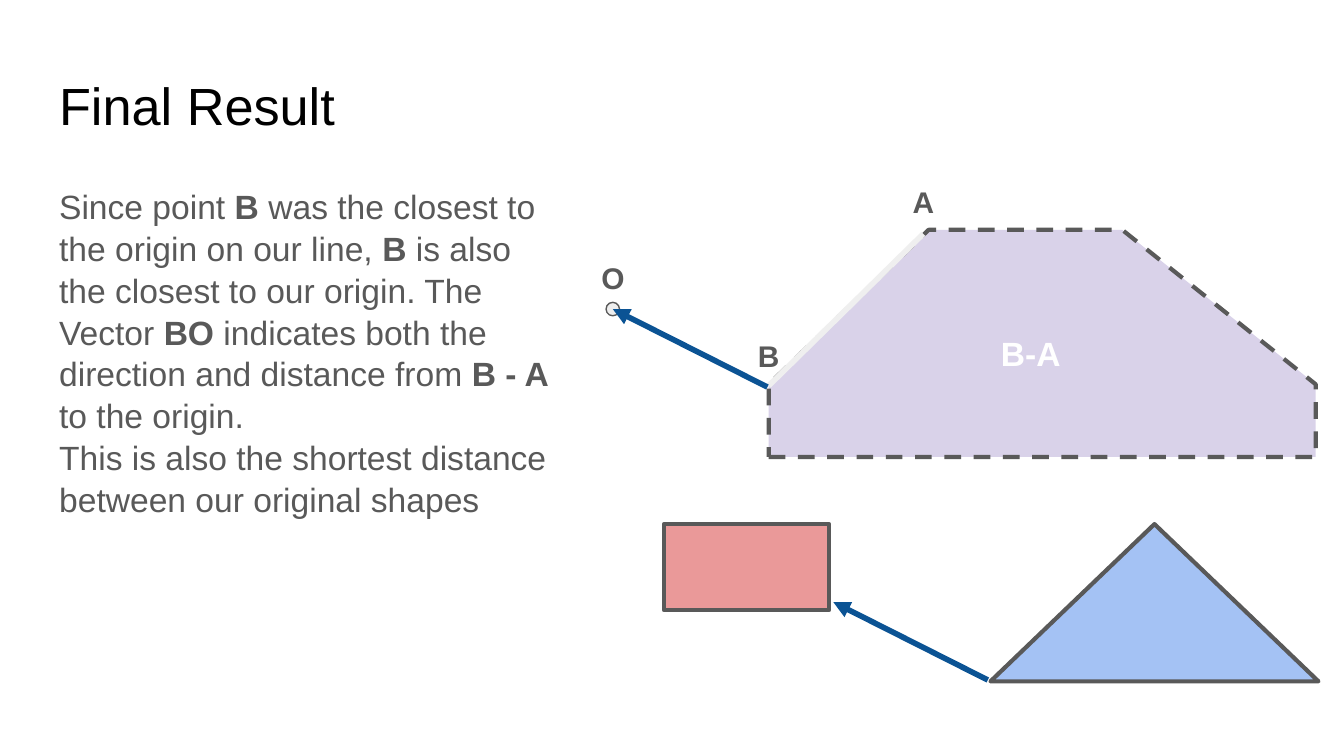
from lxml import etree
from pptx import Presentation
from pptx.dml.color import RGBColor
from pptx.enum.dml import MSO_LINE
from pptx.enum.shapes import MSO_CONNECTOR, MSO_SHAPE
from pptx.enum.text import MSO_ANCHOR, MSO_AUTO_SIZE, PP_ALIGN
from pptx.oxml.ns import qn
from pptx.util import Inches, Pt

RECTANGLE = MSO_SHAPE.RECTANGLE
TRIANGLE = MSO_SHAPE.ISOSCELES_TRIANGLE
OVAL = MSO_SHAPE.OVAL
STRAIGHT = MSO_CONNECTOR.STRAIGHT
DASH = MSO_LINE.DASH
LEFT, CENTER = PP_ALIGN.LEFT, PP_ALIGN.CENTER
TOP, MIDDLE = MSO_ANCHOR.TOP, MSO_ANCHOR.MIDDLE
NO_AUTO_SIZE = MSO_AUTO_SIZE.NONE

CELL = 0.1
COLUMNS, ROWS = 100, 56.25
FONT = "Arial"
BLACK, WHITE, GRAY = "000000", "FFFFFF", "595959"
LAVENDER, RED, BLUE = "D9D2E9", "EA9999", "A4C2F4"
PALE, DOT, NAVY = "EFEFEF", "EEEEEE", "0B5394"

EXPLANATION = (
    "Since point *B* was the closest to the origin on our line, *B* is also "
    "the closest to our origin. The Vector *BO* indicates both the direction "
    "and distance from *B - A* to the origin.\n"
    "This is also the shortest distance between our original shapes"
)


def color(value):
    return RGBColor.from_string(value)


def grid(*cells):
    return [Inches(cell * CELL) for cell in cells]


def write(frame, text, size=18, fill=GRAY, bold=False, align=LEFT, anchor=TOP, spacing=1.0):
    """Fill a text frame with plain paragraphs; asterisks toggle bold."""
    frame.word_wrap = True
    frame.auto_size = NO_AUTO_SIZE
    frame.vertical_anchor = anchor
    frame.margin_left = frame.margin_right = Inches(0.1)
    frame.margin_top = frame.margin_bottom = Inches(0.1)
    for index, line in enumerate(text.split("\n")):
        paragraph = frame.add_paragraph() if index else frame.paragraphs[0]
        paragraph.alignment = align
        paragraph.line_spacing = spacing
        paragraph.space_before = Pt(0)
        properties = paragraph._p.get_or_add_pPr()
        properties.set("marL", "0")
        properties.set("indent", "0")
        etree.SubElement(properties, qn("a:buNone"))
        for position, part in enumerate(line.split("*")):
            run = paragraph.add_run()
            run.text = part
            run.font.name = FONT
            run.font.size = Pt(size)
            run.font.bold = bold or position % 2 == 1
            run.font.color.rgb = color(fill)


class Canvas:
    """Holds the current slide and draws styled elements on its grid."""

    def __init__(self, slide):
        self.slide = slide
        self.shapes = slide.shapes

    def placeholder(self, index, box, text, **style):
        shape = self.slide.placeholders[index]
        shape.left, shape.top, shape.width, shape.height = grid(*box)
        write(shape.text_frame, text, **style)

    def label(self, text, left, top, width=4.8, height=4.7, **style):
        box = self.shapes.add_textbox(*grid(left, top, width, height))
        write(box.text_frame, text, bold=True, align=CENTER, **style)

    def paint(self, shape, fill, width=2.25):
        shape.shadow.inherit = False
        shape.fill.solid()
        shape.fill.fore_color.rgb = color(fill)
        shape.line.color.rgb = color(GRAY)
        shape.line.width = Pt(width)

    def shape(self, kind, box, fill, width=2.25):
        shape = self.shapes.add_shape(kind, *grid(*box))
        self.paint(shape, fill, width)
        etree.SubElement(shape.line._get_or_add_ln(), qn("a:round"))

    def dashed_polygon(self, points, fill):
        corners = [grid(*point) for point in points]
        builder = self.shapes.build_freeform(*corners[0])
        builder.add_line_segments(corners[1:], close=True)
        shape = builder.convert_to_shape()
        self.paint(shape, fill)
        shape.line.dash_style = DASH

    def line(self, start, end, stroke, arrow=False):
        connector = self.shapes.add_connector(STRAIGHT, *grid(*start, *end))
        connector.line.color.rgb = color(stroke)
        connector.line.width = Pt(3)
        if arrow:
            outline = connector.line._get_or_add_ln()
            etree.SubElement(outline, qn("a:tailEnd"), type="triangle")
        etree.SubElement(connector._element.spPr, qn("a:effectLst"))


def main():
    presentation = Presentation()
    presentation.slide_width, presentation.slide_height = grid(COLUMNS, ROWS)
    canvas = Canvas(presentation.slides.add_slide(presentation.slide_layouts[1]))

    canvas.placeholder(0, (3.4, 4.9, 93.2, 6.3), "Final Result",
                       size=28, fill=BLACK, anchor=MIDDLE, spacing=0.9)
    canvas.placeholder(1, (3.4, 12.7, 39.3, 29), EXPLANATION, spacing=1.04)

    canvas.dashed_polygon([(57.2, 34), (97.9, 34), (97.9, 28.6),
                           (83.5, 17.1), (69.1, 17.1), (57.2, 28.6)], LAVENDER)
    canvas.label("B-A", 71.3, 23.8, 10.8, 5, fill=WHITE)
    canvas.shape(RECTANGLE, (49.4, 39, 12.3, 6.4), RED)
    canvas.shape(TRIANGLE, (73.7, 39, 24.4, 11.7), BLUE)

    for name, left, top in [("B", 54.8, 24.1), ("A", 66.3, 12.7), ("O", 43.2, 18.3)]:
        canvas.label(name, left, top, size=16)

    canvas.line((57.2, 28.7), (68.7, 17.4), PALE)
    canvas.shape(OVAL, (45.1, 22.5, 1, 1), DOT, width=0.75)
    for left, top in [(57.1, 28.8), (73.5, 50.6)]:
        canvas.line((left, top), (left - 11.5, top - 5.8), NAVY, arrow=True)

    presentation.save("out.pptx")


if __name__ == "__main__":
    main()
